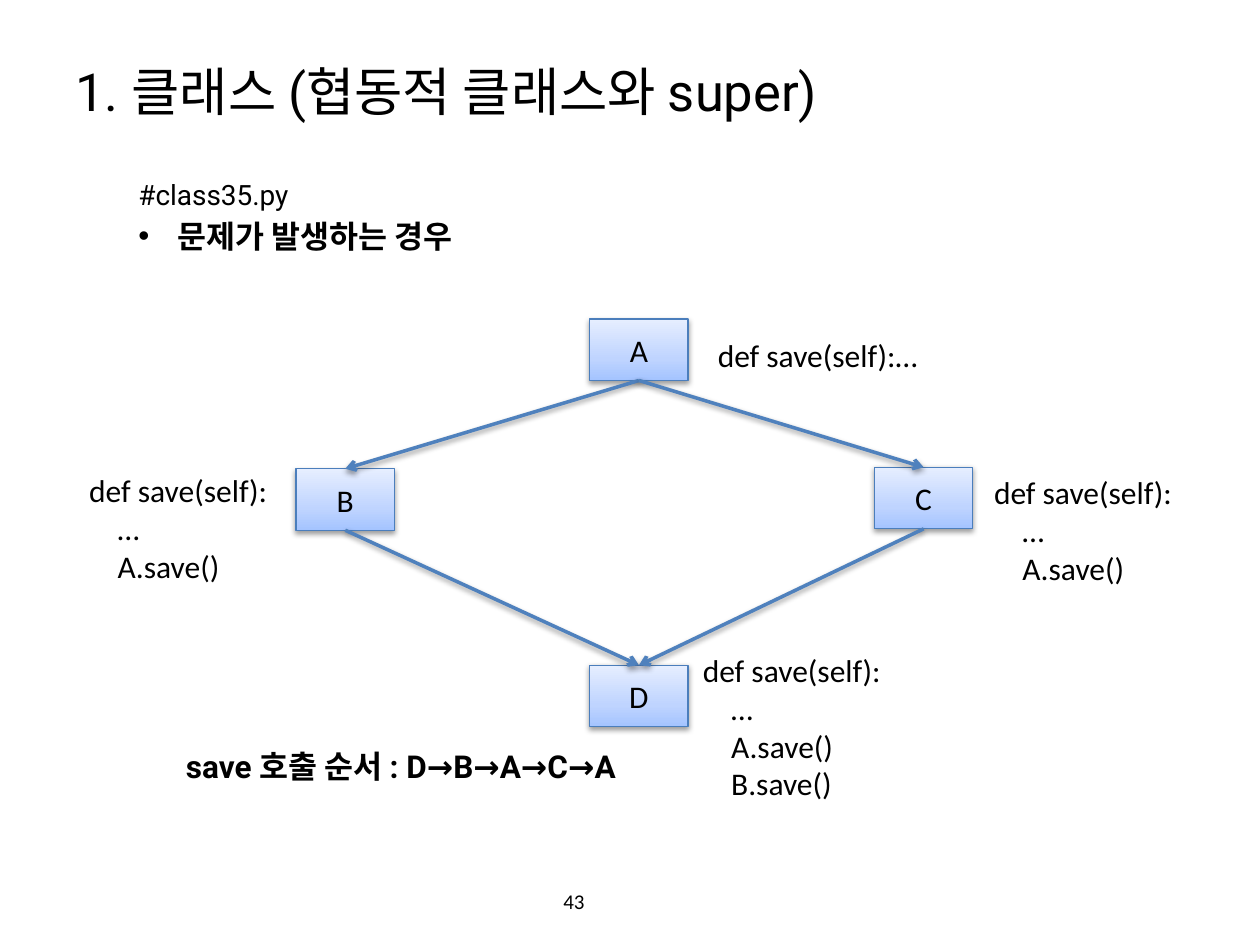
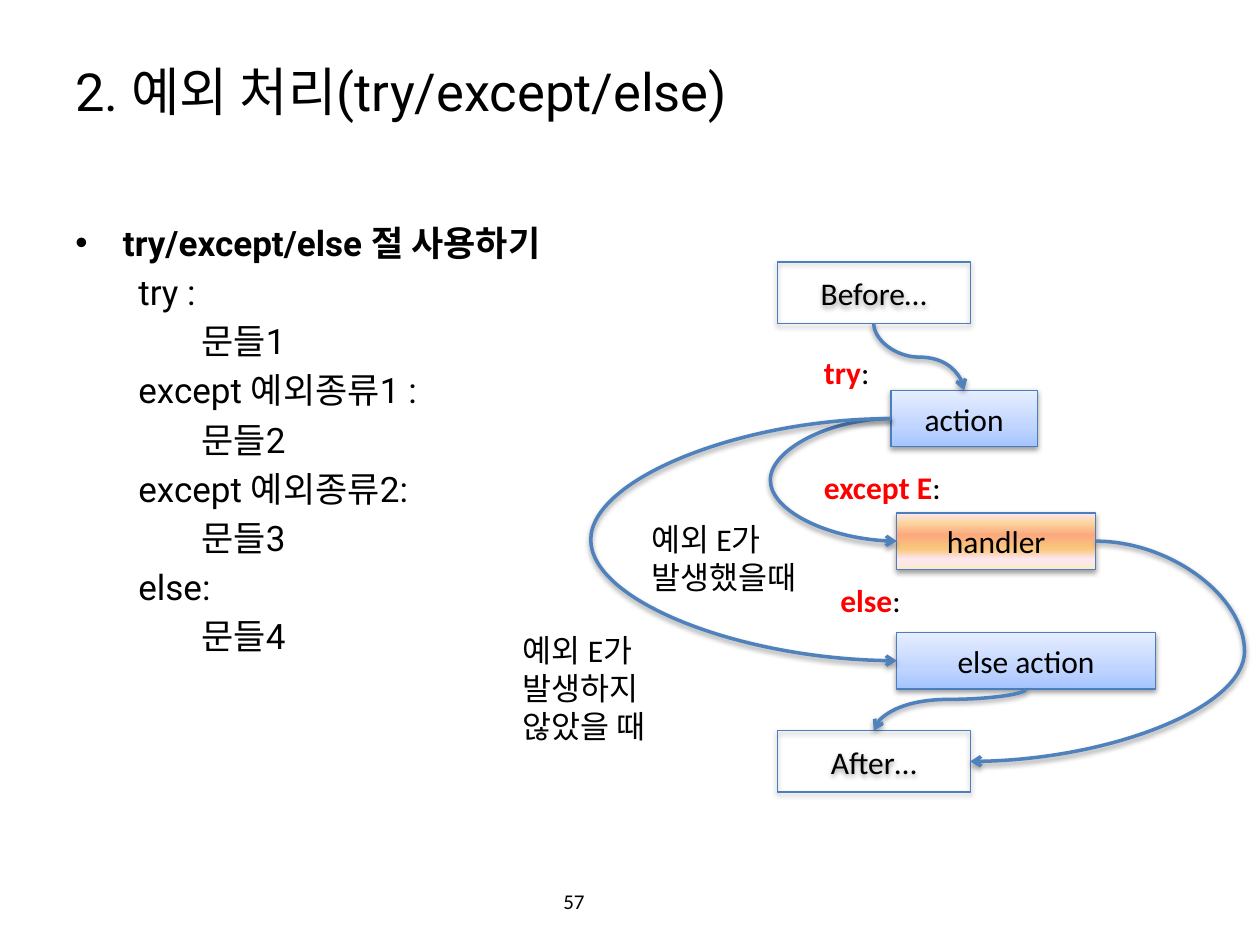
from dataclasses import dataclass

from lxml.etree import SubElement
from pptx import Presentation
from pptx.dml.color import RGBColor
from pptx.enum.shapes import MSO_CONNECTOR as LINK, MSO_SHAPE as SHAPE
from pptx.enum.text import MSO_ANCHOR as ANCHOR, PP_ALIGN as ALIGN
from pptx.oxml.ns import qn
from pptx.util import Cm, Pt


@dataclass(frozen=True)
class Theme:
    body_font: str = "Roboto"
    code_font: str = "Calibri"
    ink: str = "000000"
    keyword: str = "FF0000"
    border: str = "4B7EBC"
    arrow: str = "4F81BD"
    blue: tuple = ((0, "A4C4FF"), (35, "BFD4FF"), (100, "E6EEFF"))
    sunrise: tuple = ((0, "FBEAC7"), (18, "FEE7F2"), (36, "FAC77D"),
                      (61, "FBA97D"), (82, "FBD49C"), (100, "FEE7F2"))
    title: int = 30
    body: int = 20
    text: int = 18
    small: int = 16
    footer: int = 12


T = Theme()
TOP, LEFT, BOTTOM, RIGHT = range(4)
CODE_INDENT = 0.57


def add_xml(parent, tag, **attrs):
    return SubElement(parent, qn(tag), {k: str(v) for k, v in attrs.items()})


def write(p, text, size=T.text, font=T.code_font, color=T.ink, bold=False,
          align=None, indent=0, bullet=0, before=0):
    """Add a run to p; indent and bullet (hanging width) are in cm."""
    r = p.add_run()
    r.text = text
    r.font.size, r.font.name, r.font.bold = Pt(size), font, bold
    r.font.color.rgb = RGBColor.from_string(color)
    if align is not None:
        p.alignment = align
    if before:
        p.space_before = Pt(before)
    pPr = p._p.get_or_add_pPr()
    if indent:
        pPr.set("marL", str(Cm(indent)))
    if bullet:
        pPr.set("indent", str(-Cm(bullet)))
        add_xml(pPr, "a:buFont", typeface="Arial")
        add_xml(pPr, "a:buChar", char="•")


def add_box(s, x, y, w, h, anchor=ANCHOR.TOP):
    """Add an empty text box and return its text frame."""
    tf = s.shapes.add_textbox(Cm(x), Cm(y), Cm(w), Cm(h)).text_frame
    tf.word_wrap, tf.vertical_anchor = True, anchor
    return tf


def add_lines(s, x, y, w, h, lines):
    """Add a box with one paragraph for each (text, format) pair."""
    tf = add_box(s, x, y, w, h)
    for i, (text, style) in enumerate(lines):
        p = tf.add_paragraph() if i else tf.paragraphs[0]
        write(p, text, **style)


def add_code(s, x, y, *calls):
    """Add a save() method whose body is indented under its header."""
    lines = [("def save(self):", {})]
    lines += [(call, {"indent": CODE_INDENT}) for call in ("…", *calls)]
    add_lines(s, x, y, 5.89, 0.25 + 0.77 * len(lines), lines)


def add_keyword(s, x, y, w, word):
    p = add_box(s, x, y, w, 1.02).paragraphs[0]
    write(p, word, color=T.keyword, bold=True)
    write(p, ":")


def add_shadow(effects):
    shadow = add_xml(effects, "a:outerShdw", blurRad=40000, dist=20000,
                     dir=5400000, rotWithShape=0)
    color = add_xml(shadow, "a:srgbClr", val=T.ink)
    add_xml(color, "a:alpha", val=38000)


def fill_gradient(fill, stops):
    fill.gradient()
    fill.gradient_angle = 90
    gs_list = fill._xPr.find(qn("a:gradFill")).find(qn("a:gsLst"))
    for gs in list(gs_list):
        gs_list.remove(gs)
    for pos, color in stops:
        gs = add_xml(gs_list, "a:gs", pos=pos * 1000)
        add_xml(gs, "a:srgbClr", val=color)


def add_node(s, text, x, y, w, h, stops=None):
    sp = s.shapes.add_shape(SHAPE.RECTANGLE, Cm(x), Cm(y), Cm(w), Cm(h))
    if stops:
        fill_gradient(sp.fill, stops)
    else:
        sp.fill.background()
    sp.line.color.rgb = RGBColor.from_string(T.border)
    sp.line.width = Pt(0.75)
    sp.shadow.inherit = False
    add_shadow(sp._element.spPr.find(qn("a:effectLst")))
    sp.text_frame.vertical_anchor = ANCHOR.MIDDLE
    write(sp.text_frame.paragraphs[0], text, align=ALIGN.CENTER)
    return sp


def add_arrow(s, start, start_side, end, end_side, kind=LINK.STRAIGHT):
    c = s.shapes.add_connector(kind, 0, 0, 0, 0)
    c.begin_connect(start, start_side)
    c.end_connect(end, end_side)
    c.line.color.rgb = RGBColor.from_string(T.arrow)
    c.line.width = Pt(2)
    add_xml(c.line._get_or_add_ln(), "a:tailEnd", type="arrow")
    add_shadow(add_xml(c._element.spPr, "a:effectLst"))
    return c


def add_curve(s, start, start_side, end, end_side, reach):
    """Add a curved arrow that turns back `reach` cm from its start."""
    c = add_arrow(s, start, start_side, end, end_side, LINK.CURVE)
    dx, dy = c.end_x - c.begin_x, c.end_y - c.begin_y
    run = dx
    if start_side in (TOP, BOTTOM):
        run = dy
        mid_x, mid_y = c.begin_x + dx // 2, c.begin_y + dy // 2
        c.width, c.height = abs(dy), abs(dx)
        c.left, c.top = mid_x - c.width // 2, mid_y - c.height // 2
        xfrm = c._element.spPr.find(qn("a:xfrm"))
        xfrm.rot, xfrm.flipH, xfrm.flipV = 90, False, dx > 0
    guides = c._element.spPr.find(qn("a:prstGeom")).find(qn("a:avLst"))
    add_xml(guides, "a:gd", name="adj1",
            fmla=f"val {round(Cm(reach) / run * 100000)}")


def add_slide(prs, title, number):
    s = prs.slides.add_slide(prs.slide_layouts[6])
    tf = add_box(s, 1.27, 0.76, 22.86, 2.13, ANCHOR.MIDDLE)
    write(tf.paragraphs[0], title, T.title, T.body_font)
    tf = add_box(s, 8.61, 17.65, 5.92, 1.02, ANCHOR.MIDDLE)
    write(tf.paragraphs[0], str(number), T.footer, align=ALIGN.CENTER)
    return s


def build_diamond(prs):
    s = add_slide(prs, "1. 클래스 (협동적 클래스와 super)", 43)
    add_lines(s, 1.27, 3.45, 22.86, 1.9, [
        ("#class35.py", dict(size=T.small, font=T.body_font, indent=1.27)),
        ("문제가 발생하는 경우", dict(font=T.body_font, bold=True, indent=2.06,
                              bullet=0.79, before=3.6)),
    ])
    add_lines(s, 3.5, 14.94, 10.3, 1.02, [
        ("save 호출 순서 : D→B→A→C→A", dict(font=T.body_font, bold=True))])

    places = {"A": (11.89, 6.43), "B": (5.97, 9.45),
              "D": (11.89, 13.41), "C": (17.63, 9.42)}
    nodes = {name: add_node(s, name, x, y, 1.98, 1.24, T.blue)
             for name, (x, y) in places.items()}
    for start, end in ("AB", "BD", "AC", "CD"):
        add_arrow(s, nodes[start], BOTTOM, nodes[end], TOP)

    add_lines(s, 14.22, 6.65, 5.89, 1.02, [("def save(self):…", {})])
    add_code(s, 19.79, 9.42, "A.save()")
    add_code(s, 1.55, 9.37, "A.save()")
    add_code(s, 13.92, 13, "A.save()", "B.save()")


def build_exceptions(prs):
    s = add_slide(prs, "2. 예외 처리(try/except/else)", 57)
    base = dict(size=T.body, font=T.body_font, before=4)
    lines = [("try/except/else 절 사용하기",
              dict(base, bold=True, indent=0.96, bullet=0.96))]
    clauses = ("try :", "except 예외종류1 :", "except 예외종류2:", "else:")
    for i, clause in enumerate(clauses, 1):
        lines += [(clause, dict(base, indent=1.27)),
                  (f"문들{i}", dict(base, indent=2.54))]
    add_lines(s, 1.27, 4.35, 10.5, 9.4, lines)

    before = add_node(s, "Before…", 15.67, 5.28, 3.89, 1.24)
    action = add_node(s, "action", 17.96, 7.87, 2.95, 1.14, T.blue)
    handler = add_node(s, "handler", 18.08, 10.34, 4.01, 1.14, T.sunrise)
    otherwise = add_node(s, "else action", 18.08, 12.75, 5.21, 1.14, T.blue)
    after = add_node(s, "After…", 15.67, 14.73, 3.89, 1.24)

    add_curve(s, before, BOTTOM, action, TOP, 0.68)
    add_curve(s, action, LEFT, handler, LEFT, -2.43)
    add_curve(s, action, LEFT, otherwise, LEFT, -6.05)
    add_curve(s, handler, RIGHT, after, RIGHT, 3)
    add_curve(s, otherwise, BOTTOM, after, TOP, 0.21)

    add_keyword(s, 16.36, 6.99, 2.01, "try")
    add_keyword(s, 16.36, 9.32, 3.68, "except E")
    add_keyword(s, 16.69, 11.58, 3.68, "else")
    add_lines(s, 12.88, 10.36, 4.47, 1.8, [("예외 E가 발생했을때", {})])
    add_lines(s, 10.29, 12.6, 4.47, 2.57, [("예외 E가 발생하지 않았을 때", {})])


def main():
    prs = Presentation()
    prs.slide_width, prs.slide_height = Cm(25.4), Cm(19.05)
    build_diamond(prs)
    build_exceptions(prs)
    prs.save("out.pptx")


if __name__ == "__main__":
    main()
